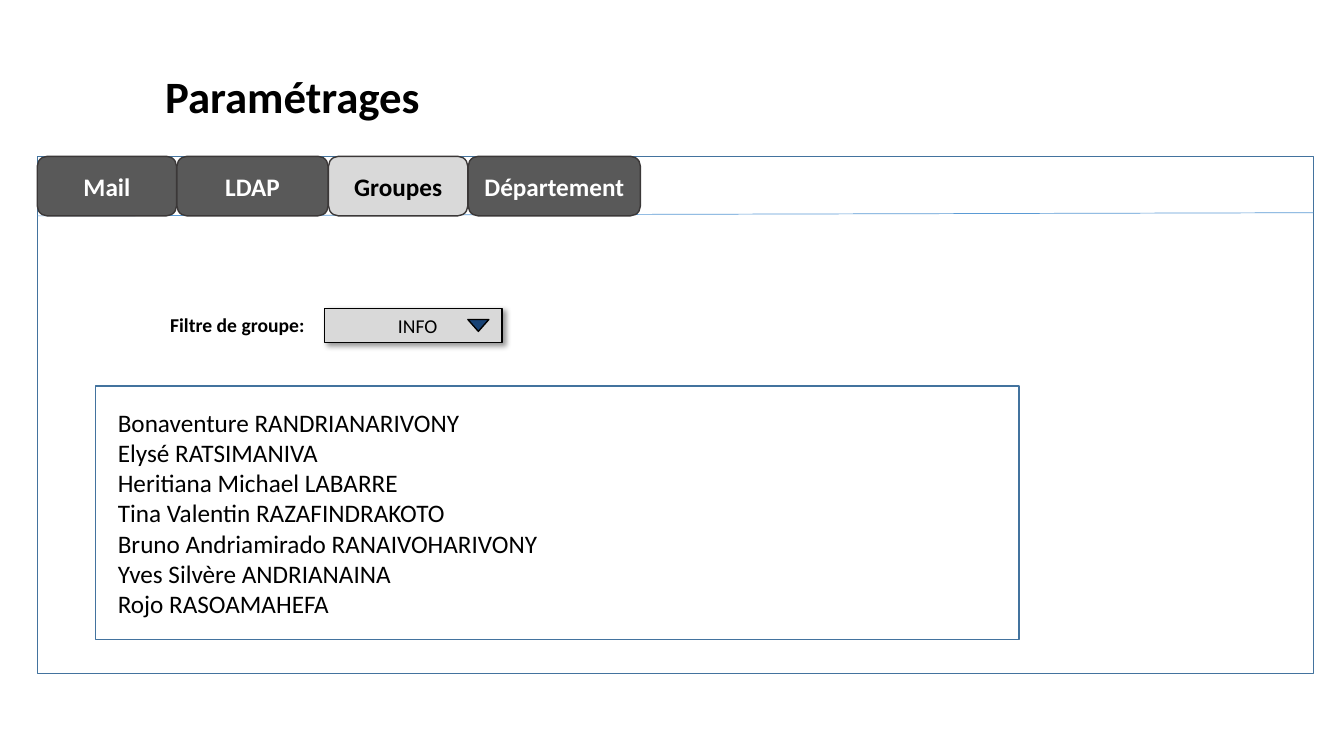
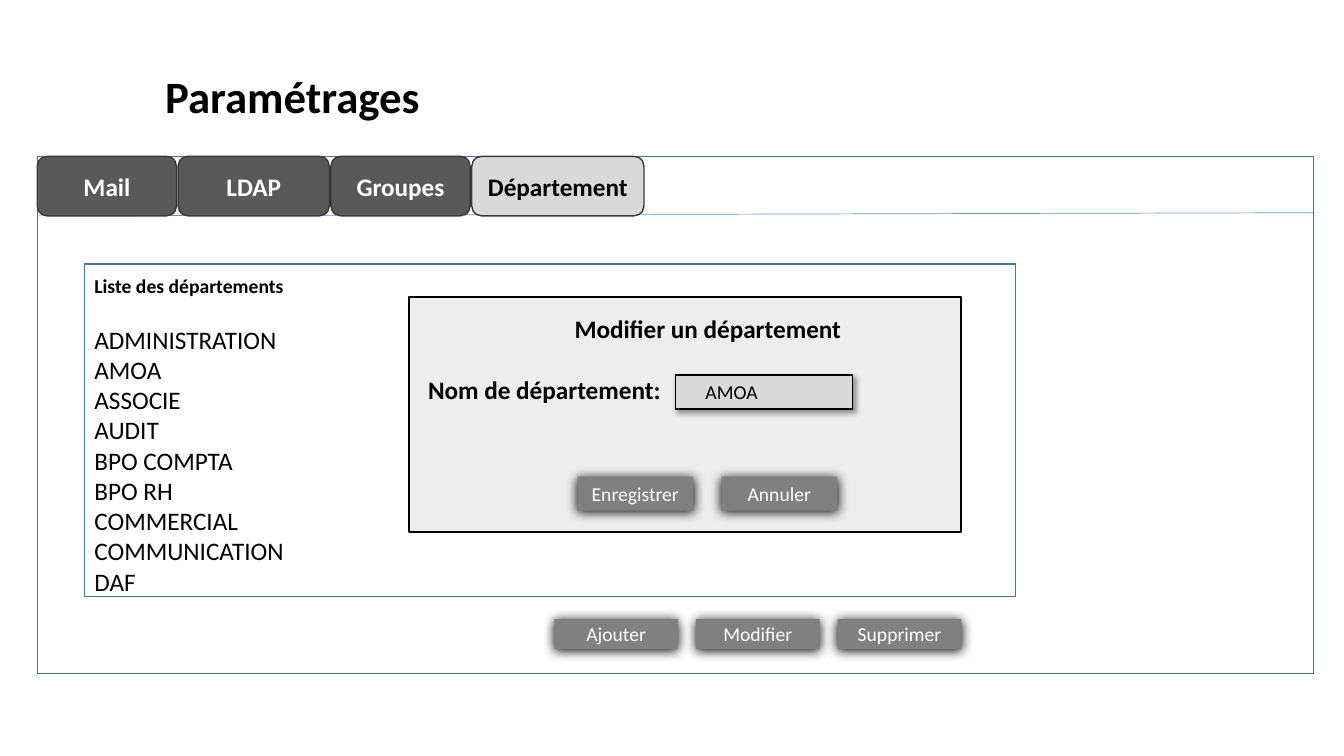
from dataclasses import dataclass
from typing import Any, NamedTuple

from lxml import etree
from pptx import Presentation
from pptx.dml.color import RGBColor
from pptx.enum.shapes import MSO_CONNECTOR, MSO_SHAPE
from pptx.enum.text import MSO_ANCHOR, PP_ALIGN
from pptx.oxml.ns import qn
from pptx.util import Cm, Pt

RECTANGLE = MSO_SHAPE.RECTANGLE
ROUNDED = MSO_SHAPE.ROUNDED_RECTANGLE
TRIANGLE = MSO_SHAPE.ISOSCELES_TRIANGLE
STRAIGHT = MSO_CONNECTOR.STRAIGHT
TOP, MIDDLE = MSO_ANCHOR.TOP, MSO_ANCHOR.MIDDLE
LEFT, CENTER = PP_ALIGN.LEFT, PP_ALIGN.CENTER

FONT = "Calibri"
BLANK_LAYOUT = 6
COLORS = {
    "text": "000000",
    "light_text": "FFFFFF",
    "frame": "43739E",
    "rule": "5B9BD5",
    "tab": "595959",
    "tab_edge": "3B3838",
    "field": "D9D9D9",
    "arrow": "174275",
    "button": "808080",
    "dialog": "EAEAEA",
}
TEXT_STYLES: dict[str, dict[str, Any]] = {
    "title": {"size": Pt(32), "bold": True},
    "heading": {"size": Pt(18), "bold": True},
    "label": {"size": Pt(14), "bold": True},
    "body": {"size": Pt(18), "bold": False},
    "small": {"size": Pt(14), "bold": False},
}


class Box(NamedTuple):
    """Left, top, width and height in centimetres."""
    left: float
    top: float
    width: float
    height: float

    def lengths(self) -> list[Cm]:
        return [Cm(value) for value in self]


class Shadow(NamedTuple):
    opacity: int
    blur: float
    distance: float
    angle: int


@dataclass(frozen=True)
class Look:
    fill: str | None = None
    line: str | None = None
    line_width: float = 1
    opacity: int = 100
    shadow: Shadow | None = None


@dataclass(frozen=True)
class Tab:
    label: str
    width: float


FRAME = Look(line="frame")
TAB = Look(fill="tab", line="tab_edge")
ACTIVE_TAB = Look(fill="field", line="tab_edge")
FIELD = Look(fill="field", line="text", shadow=Shadow(40, 4, 3, 45))
ARROW = Look(fill="arrow", line="text")
BUTTON = Look(fill="button", shadow=Shadow(100, 8.5, 1, 90))
DIALOG = Look(fill="dialog", line="text", line_width=1.5, opacity=84)

PANEL = Box(0.94, 3.94, 32.16, 13.03)
TABS = [Tab("Mail", 3.51), Tab("LDAP", 3.81), Tab("Groupes", 3.51), Tab("Département", 4.34)]
TAB_HEIGHT = 1.5

MEMBERS = [
    "Bonaventure RANDRIANARIVONY",
    "Elysé RATSIMANIVA",
    "Heritiana Michael LABARRE",
    "Tina Valentin RAZAFINDRAKOTO",
    "Bruno Andriamirado RANAIVOHARIVONY",
    "Yves Silvère ANDRIANAINA",
    "Rojo RASOAMAHEFA",
]
DEPARTMENTS = [
    "ADMINISTRATION", "AMOA", "ASSOCIE", "AUDIT", "BPO COMPTA",
    "BPO RH", "COMMERCIAL", "COMMUNICATION", "DAF",
]


def rgb(name: str) -> RGBColor:
    return RGBColor.from_string(COLORS[name])


def apply_format(target: Any, values: dict[str, Any]) -> None:
    for name, value in values.items():
        setattr(target, name, value)


def add_alpha(color: Any, opacity: int) -> None:
    etree.SubElement(color, qn("a:alpha"), val=str(opacity * 1000))


def add_shadow(shape: Any, shadow: Shadow) -> None:
    effects = shape.element.spPr.find(qn("a:effectLst"))
    outer = etree.SubElement(
        effects, qn("a:outerShdw"), blurRad=str(Pt(shadow.blur)),
        dist=str(Pt(shadow.distance)), dir=str(shadow.angle * 60000),
        algn="ctr", rotWithShape="0",
    )
    color = etree.SubElement(outer, qn("a:srgbClr"), val=COLORS["text"])
    add_alpha(color, shadow.opacity)


def add_box(slide: Any, box: Box, look: Look, kind: Any = RECTANGLE) -> Any:
    shape = slide.shapes.add_shape(kind, *box.lengths())
    shape.shadow.inherit = False
    if look.fill:
        shape.fill.solid()
        shape.fill.fore_color.rgb = rgb(look.fill)
        if look.opacity < 100:
            add_alpha(shape.element.spPr.find(".//" + qn("a:srgbClr")), look.opacity)
    else:
        shape.fill.background()
    if look.line:
        shape.line.color.rgb = rgb(look.line)
        shape.line.width = Pt(look.line_width)
    else:
        shape.line.fill.background()
    if look.shadow:
        add_shadow(shape, look.shadow)
    return shape


def write(shape: Any, lines: list[str], style: str, color: str = "text",
          align: Any = CENTER, **frame_format: Any) -> None:
    """Fill the shape with one paragraph per line."""
    frame = shape.text_frame
    apply_format(frame, {"word_wrap": True, "vertical_anchor": MIDDLE} | frame_format)
    frame.text = "\n".join(lines)
    for paragraph in frame.paragraphs:
        paragraph.alignment = align
        apply_format(paragraph.font, {"name": FONT} | TEXT_STYLES[style])
        paragraph.font.color.rgb = rgb(color)


def add_text(slide: Any, box: Box, text: str, style: str, align: Any = LEFT) -> None:
    shape = slide.shapes.add_textbox(*box.lengths())
    write(shape, [text], style, align=align, vertical_anchor=TOP)


def add_field(slide: Any, left: float, top: float, text: str, indent: float) -> None:
    shape = add_box(slide, Box(left, top, 4.47, 0.86), FIELD)
    write(shape, [text], "small", align=LEFT, margin_left=Cm(indent))


def add_buttons(slide: Any, first: Box, pitch: float, labels: list[str]) -> None:
    for index, label in enumerate(labels):
        shape = add_box(slide, first._replace(left=first.left + index * pitch), BUTTON)
        write(shape, [label], "small", "light_text", margin_left=0, margin_right=0)


def add_tabs(slide: Any, active: str, gap: float) -> None:
    left = PANEL.left
    for tab in TABS:
        is_active = tab.label == active
        shape = add_box(slide, Box(left, PANEL.top, tab.width, TAB_HEIGHT),
                        ACTIVE_TAB if is_active else TAB, ROUNDED)
        write(shape, [tab.label], "heading", "text" if is_active else "light_text",
              margin_left=Cm(0.1), margin_right=Cm(0.1))
        left += tab.width + gap


def add_settings_slide(presentation: Any, active: str, tab_gap: float) -> Any:
    """Add a slide with the title, the panel and its tabs."""
    slide = presentation.slides.add_slide(presentation.slide_layouts[BLANK_LAYOUT])
    add_text(slide, Box(3.91, 1.6, 13.59, 1.63), "Paramétrages", "title")
    add_box(slide, PANEL, FRAME)
    rule = slide.shapes.add_connector(
        STRAIGHT, Cm(PANEL.left), Cm(5.44), Cm(PANEL.left + PANEL.width), Cm(5.36))
    rule.line.color.rgb = rgb("rule")
    rule.line.width = Pt(0.5)
    etree.SubElement(rule.element.spPr, qn("a:effectLst"))
    add_tabs(slide, active, tab_gap)
    return slide


def add_groups_slide(presentation: Any) -> None:
    slide = add_settings_slide(presentation, "Groupes", 0.01)
    add_text(slide, Box(4.04, 7.77, 4.14, 0.86), "Filtre de groupe:", "label")
    add_field(slide, 8.18, 7.77, "INFO", 1.85)
    arrow = add_box(slide, Box(11.79, 8.05, 0.53, 0.3), ARROW, TRIANGLE)
    arrow.rotation = 180
    members = add_box(slide, Box(2.41, 9.73, 23.27, 6.38), FRAME)
    write(members, MEMBERS, "body", align=LEFT, margin_left=Cm(0.56))


def add_departments_slide(presentation: Any) -> None:
    slide = add_settings_slide(presentation, "Département", 0.04)
    departments = add_box(slide, Box(2.13, 6.65, 23.47, 8.38), FRAME)
    write(departments, ["Liste des départements", *DEPARTMENTS], "body", align=LEFT,
          vertical_anchor=TOP, margin_top=Cm(0.25), margin_bottom=0)
    heading = departments.text_frame.paragraphs[0]
    apply_format(heading.font, TEXT_STYLES["label"])
    heading.space_after = Pt(19)
    add_buttons(slide, Box(13.97, 15.6, 3.12, 0.76), 3.57,
                ["Ajouter", "Modifier", "Supprimer"])

    add_box(slide, Box(10.31, 7.49, 13.92, 5.92), DIALOG)
    add_text(slide, Box(13, 7.77, 9.68, 1.02), "Modifier un département", "heading", CENTER)
    add_text(slide, Box(10.54, 9.32, 8.66, 1.02), "Nom de département:", "heading")
    add_field(slide, 17.02, 9.45, "AMOA", 0.76)
    add_buttons(slide, Box(14.55, 12.01, 2.92, 0.86), 3.63, ["Enregistrer", "Annuler"])


def main() -> None:
    presentation = Presentation()
    presentation.slide_width = Cm(33.87)
    presentation.slide_height = Cm(19.05)
    add_groups_slide(presentation)
    add_departments_slide(presentation)
    presentation.save("out.pptx")


if __name__ == "__main__":
    main()
